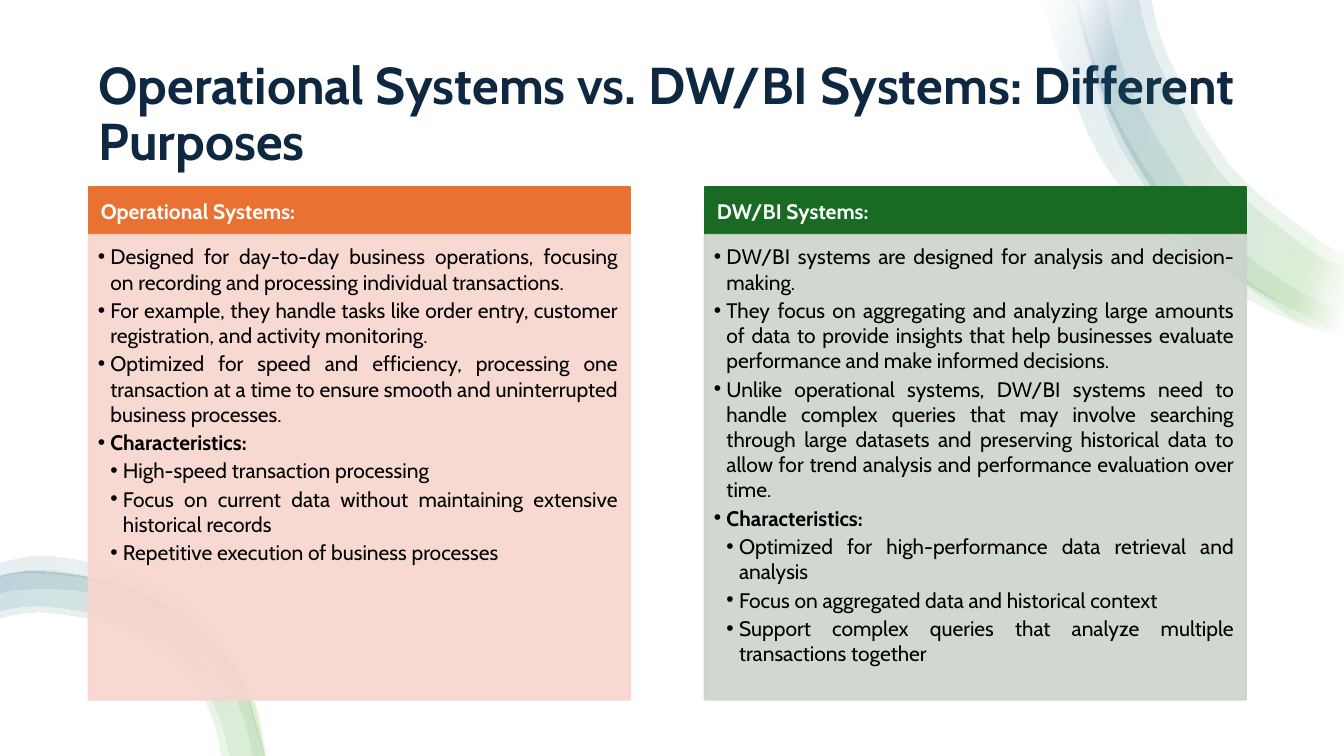
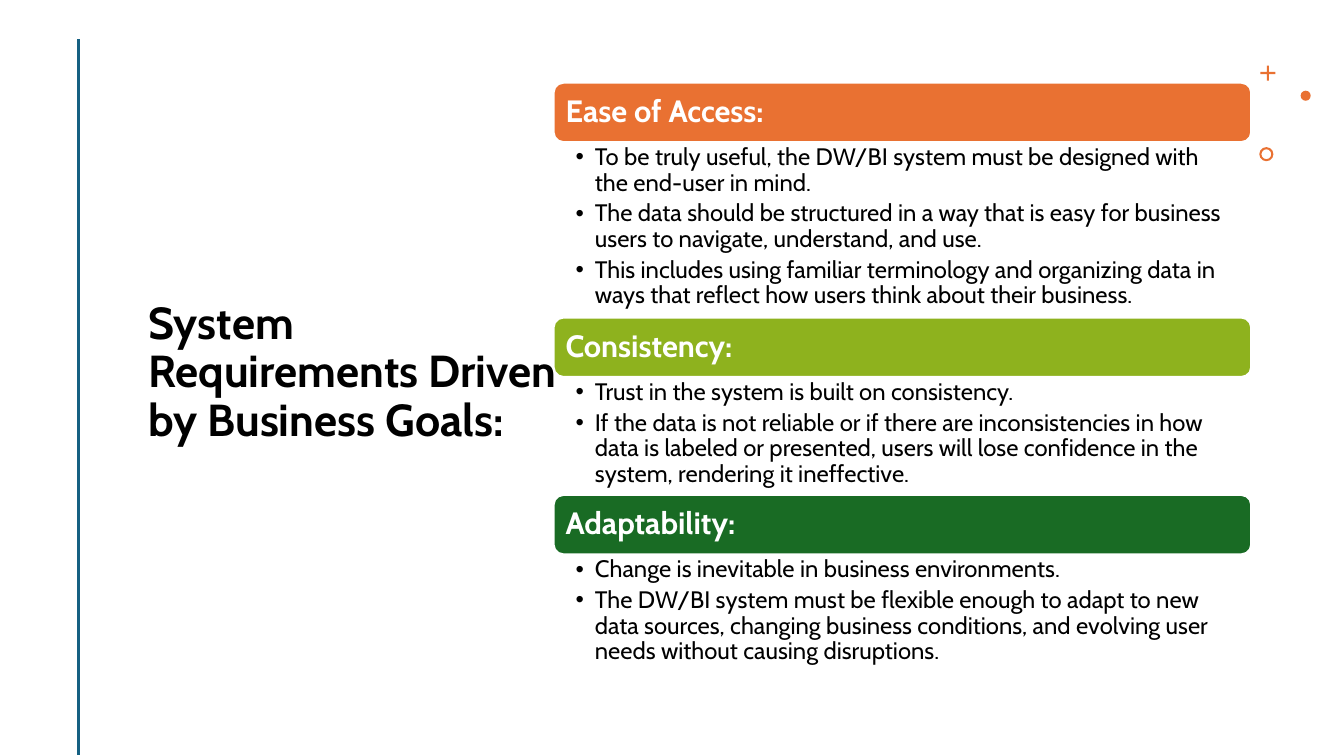
from lxml import etree
from pptx import Presentation
from pptx.dml.color import RGBColor
from pptx.enum.shapes import MSO_CONNECTOR, MSO_SHAPE
from pptx.enum.text import MSO_ANCHOR, MSO_AUTO_SIZE, PP_ALIGN
from pptx.oxml.ns import qn
from pptx.util import Inches, Pt

FONT = "Cabin"
NAVY, BLACK, WHITE = "0E2841", "000000", "FFFFFF"
ORANGE, LIME, GREEN = "E97132", "8EB21E", "196B24"
PINK, SAGE, TEAL, LEAF = "F7D5CE", "CCD4CD", "156082", "4EA72E"

RECTANGLE, ROUNDED = MSO_SHAPE.RECTANGLE, MSO_SHAPE.ROUNDED_RECTANGLE
CROSS, OVAL, DONUT = MSO_SHAPE.CROSS, MSO_SHAPE.OVAL, MSO_SHAPE.DONUT
TOP, MIDDLE = MSO_ANCHOR.TOP, MSO_ANCHOR.MIDDLE
LEFT, JUSTIFY = PP_ALIGN.LEFT, PP_ALIGN.JUSTIFY
TITLE_ONLY = 5
SLIDE_SIZE = (13.33, 7.5)

# Swoosh bands: points along the outer edge, then along the inner edge
TOP_EDGE = [(10.67, 0), (10.99, 1.07), (11.52, 2), (12.23, 2.74), (13.33, 3.32)]
TOP_SWOOSH = [
    ([(10.37, 0), (10.41, 0.26), (10.78, 1.31), (11.16, 1.92), (11.65, 2.45),
      (12.21, 2.87), (12.82, 3.19), (13.33, 3.35)],
     [(10.7, 0), (10.82, 0.52), (11.06, 1.15), (11.4, 1.73), (11.81, 2.27),
      (12.3, 2.73), (12.86, 3.1), (13.33, 3.28)]),
    (TOP_EDGE,
     [(11.42, 0), (11.58, 0.55), (12.19, 1.64), (13.07, 2.38), (13.33, 2.51)]),
    ([(10.65, 0), (10.99, 1.19), (11.32, 1.79), (11.73, 2.33), (12.79, 3.14),
      (13.33, 3.33)],
     [(10.98, 0), (11.07, 0.44), (11.29, 1.04), (11.95, 2.11), (12.39, 2.55),
      (12.9, 2.9), (13.33, 3.08)]),
    (TOP_EDGE,
     [(11.3, 0), (11.47, 0.59), (12.1, 1.72), (13.01, 2.5), (13.33, 2.64)]),
]
BOTTOM_EDGE = [(0, 5.72), (0.4, 5.67), (1.17, 5.8), (1.85, 6.16), (2.36, 6.69),
               (2.63, 7.5)]
BOTTOM_SWOOSH = [
    (BOTTOM_EDGE,
     [(0, 6.13), (0.4, 6.07), (1.07, 6.19), (1.66, 6.52), (2.06, 7), (2.2, 7.5)]),
    (BOTTOM_EDGE,
     [(0, 6.06), (0.4, 6.01), (1.09, 6.13), (1.7, 6.47), (2.12, 6.97),
      (2.28, 7.5)]),
    ([(0, 5.71), (0.5, 5.66), (1.42, 5.87), (2.03, 6.27), (2.47, 6.85),
      (2.63, 7.5)],
     [(0, 5.88), (0.33, 5.84), (1.01, 5.91), (1.92, 6.39), (2.34, 6.91),
      (2.51, 7.5)]),
    ([(0, 5.59), (0.51, 5.52), (1.48, 5.75), (2.1, 6.23), (2.5, 6.87),
      (2.64, 7.5)],
     [(0, 5.72), (0.32, 5.68), (1.05, 5.78), (1.82, 6.17), (2.36, 6.73),
      (2.62, 7.5)]),
]
TOP_STOPS = [(2, WHITE), (16, LEAF), (85, TEAL), (100, WHITE)]
BOTTOM_STOPS = [(0, LEAF), (100, TEAL)]

# Text of the comparison: (level, text) with level 0 for a bold heading
COMPARISON = [
    ("Operational Systems:", ORANGE, PINK, [
        (1, "Designed for day-to-day business operations, focusing on recording "
            "and processing individual transactions."),
        (1, "For example, they handle tasks like order entry, customer "
            "registration, and activity monitoring."),
        (1, "Optimized for speed and efficiency, processing one transaction at a "
            "time to ensure smooth and uninterrupted business processes."),
        (0, "Characteristics:"),
        (2, "High-speed transaction processing"),
        (2, "Focus on current data without maintaining extensive historical "
            "records"),
        (2, "Repetitive execution of business processes"),
    ]),
    ("DW/BI Systems:", GREEN, SAGE, [
        (1, "DW/BI systems are designed for analysis and decision-making."),
        (1, "They focus on aggregating and analyzing large amounts of data to "
            "provide insights that help businesses evaluate performance and make "
            "informed decisions."),
        (1, "Unlike operational systems, DW/BI systems need to handle complex "
            "queries that may involve searching through large datasets and "
            "preserving historical data to allow for trend analysis and "
            "performance evaluation over time."),
        (0, "Characteristics:"),
        (2, "Optimized for high-performance data retrieval and analysis"),
        (2, "Focus on aggregated data and historical context"),
        (2, "Support complex queries that analyze multiple transactions together"),
    ]),
]

# Text of the requirements: heading, colour, body height, bullets
REQUIREMENTS = [
    ("Ease of Access:", ORANGE, 1.74, [
        "To be truly useful, the DW/BI system must be designed with the end-user "
        "in mind.",
        "The data should be structured in a way that is easy for business users "
        "to navigate, understand, and use.",
        "This includes using familiar terminology and organizing data in ways "
        "that reflect how users think about their business.",
    ]),
    ("Consistency:", LIME, 1.17, [
        "Trust in the system is built on consistency.",
        "If the data is not reliable or if there are inconsistencies in how data "
        "is labeled or presented, users will lose confidence in the system, "
        "rendering it ineffective.",
    ]),
    ("Adaptability:", GREEN, 1.17, [
        "Change is inevitable in business environments.",
        "The DW/BI system must be flexible enough to adapt to new data sources, "
        "changing business conditions, and evolving user needs without causing "
        "disruptions.",
    ]),
]


def color(value):
    return RGBColor.from_string(value)


def inches(*lengths):
    return [Inches(length) for length in lengths]


def add_box(slide, kind, box, fill, line=None, alpha=None):
    """Add a flat preset shape; alpha is its opacity in percent."""
    shape = slide.shapes.add_shape(kind, *inches(*box))
    shape.shadow.inherit = False
    shape.fill.solid()
    shape.fill.fore_color.rgb = color(fill)
    if line:
        shape.line.color.rgb = color(line)
        shape.line.width = Pt(1.5)
    else:
        shape.line.fill.background()
    if alpha:
        for element in list(shape.element.spPr.iter(qn("a:srgbClr"))):
            etree.SubElement(element, qn("a:alpha"), val=str(alpha * 1000))
    return shape


def set_frame(frame, margins, anchor):
    frame.word_wrap = True
    frame.auto_size = MSO_AUTO_SIZE.NONE
    frame.vertical_anchor = anchor
    (frame.margin_left, frame.margin_top,
     frame.margin_right, frame.margin_bottom) = inches(*margins)


def set_font(paragraph, size, font_color, bold=False):
    font = paragraph.font
    font.name, font.size, font.bold = FONT, Pt(size), bold
    font.color.rgb = color(font_color)


def write_heading(shape, text, size, margins, spacing=1.0):
    set_frame(shape.text_frame, margins, MIDDLE)
    paragraph = shape.text_frame.paragraphs[0]
    paragraph.text = text
    paragraph.alignment = LEFT
    paragraph.line_spacing = spacing
    set_font(paragraph, size, WHITE, True)


def write_bullets(frame, items, size, hanging, gap, alignment, spacing=1.0):
    """Write (level, text) items as bullets; level 0 is a bold heading."""
    for index, (level, text) in enumerate(items):
        paragraph = frame.add_paragraph() if index else frame.paragraphs[0]
        paragraph.text = text
        paragraph.alignment = alignment
        paragraph.line_spacing = spacing
        paragraph.space_after = Pt(gap)
        properties = paragraph._p.get_or_add_pPr()
        properties.set("marL", str(Inches(hanging * max(level, 1))))
        properties.set("indent", str(-Inches(hanging)))
        etree.SubElement(properties, qn("a:buFont"), typeface="Arial")
        etree.SubElement(properties, qn("a:buChar"), char="•")
        set_font(paragraph, size, BLACK, level == 0)


def add_title_slide(presentation, text, box, size, font_color):
    """Add a title-only slide with its title placed in the box."""
    slide = presentation.slides.add_slide(presentation.slide_layouts[TITLE_ONLY])
    title = slide.shapes.title
    title.left, title.top, title.width, title.height = inches(*box)
    set_frame(title.text_frame, (0.1, 0.05, 0.1, 0.05), MIDDLE)
    paragraph = title.text_frame.paragraphs[0]
    paragraph.text = text
    paragraph.alignment = LEFT
    paragraph.line_spacing = 0.9
    set_font(paragraph, size, font_color, True)
    return slide


def add_backdrop(slide):
    """Put a white panel over the whole slide, behind the title."""
    backdrop = add_box(slide, RECTANGLE, (0, 0, *SLIDE_SIZE), WHITE)
    slide.shapes.title.element.addprevious(backdrop.element)


def smooth_curve(points, steps=3):
    """Sample a Catmull-Rom curve through the points."""
    padded = [points[0], *points, points[-1]]
    curve = [points[0]]
    for a, b, c, d in zip(padded, padded[1:], padded[2:], padded[3:]):
        for step in range(1, steps + 1):
            t = step / steps
            curve.append(tuple(
                q + 0.5 * t * (r - p + t * (2 * p - 5 * q + 4 * r - s
                                            + t * (3 * (q - r) + s - p)))
                for p, q, r, s in zip(a, b, c, d)))
    return curve


def add_swoosh(slide, bands, color_stops):
    """Draw overlapping curved bands with a faint gradient."""
    for outer, inner in bands:
        outline = smooth_curve(outer) + smooth_curve(inner)[::-1]
        points = [tuple(inches(*point)) for point in outline]
        builder = slide.shapes.build_freeform(*points[0], scale=1.0)
        builder.add_line_segments(points[1:], close=True)
        shape = builder.convert_to_shape()
        shape.shadow.inherit = False
        shape.line.fill.background()
        shape.fill.gradient()
        gradient = shape.element.spPr.find(qn("a:gradFill"))
        for child in list(gradient):
            gradient.remove(child)
        stops = etree.SubElement(gradient, qn("a:gsLst"))
        for position, value in color_stops:
            stop = etree.SubElement(stops, qn("a:gs"), pos=str(position * 1000))
            tint = etree.SubElement(stop, qn("a:srgbClr"), val=value)
            etree.SubElement(tint, qn("a:alpha"), val="10000")
        etree.SubElement(gradient, qn("a:lin"), ang=str(200 * 60000), scaled="0")


def add_comparison_column(slide, box, heading, accent, tint, items):
    left, top, width, height = box
    header_height = 0.47
    header = add_box(slide, RECTANGLE, (left, top, width, header_height),
                     accent, accent)
    write_heading(header, heading, 15, (0.12, 0.07, 0.12, 0.07))
    body = add_box(slide, RECTANGLE,
                   (left, top + header_height, width, height - header_height),
                   tint, tint, alpha=90)
    set_frame(body.text_frame, (0.09, 0.09, 0.12, 0.13), TOP)
    write_bullets(body.text_frame, items, 15, 0.125, 2.2, JUSTIFY)


def add_requirement_list(slide, left, top, width):
    """Stack the heading bars, each with its bullets below."""
    bar_height = 0.59
    for heading, accent, body_height, items in REQUIREMENTS:
        bar = add_box(slide, ROUNDED, (left, top, width, bar_height), accent, WHITE)
        write_heading(bar, heading, 22, (0.09, 0.09, 0.09, 0.09), 0.9)
        body = slide.shapes.add_textbox(
            *inches(left, top + bar_height, width, body_height))
        set_frame(body.text_frame, (0.22, 0.03, 0.17, 0.03), TOP)
        write_bullets(body.text_frame, [(1, item) for item in items],
                      17, 0.19, 3.4, LEFT, 0.9)
        top += bar_height + body_height


def add_ornaments(slide, left, top):
    """Plus, dot and ring beside the list."""
    plus = add_box(slide, CROSS, (left + 0.01, top, 0.15, 0.15), ORANGE)
    plus.adjustments[0] = 0.43
    add_box(slide, OVAL, (left + 0.41, top + 0.25, 0.1, 0.1), ORANGE)
    ring = add_box(slide, DONUT, (left, top + 0.81, 0.14, 0.14), ORANGE)
    ring.adjustments[0] = 0.15


def add_side_rule(slide, x, top, bottom):
    rule = slide.shapes.add_connector(MSO_CONNECTOR.STRAIGHT,
                                      *inches(x, top, x, bottom))
    rule.line.color.rgb = color(TEAL)
    rule.line.width = Pt(2)
    etree.SubElement(rule.element.spPr, qn("a:effectLst"))


def build_comparison_slide(presentation):
    slide = add_title_slide(
        presentation, "Operational Systems vs. DW/BI Systems: Different Purposes",
        (0.88, 0.5, 11.57, 1.3), 37, NAVY)
    add_backdrop(slide)
    add_swoosh(slide, TOP_SWOOSH, TOP_STOPS)
    add_swoosh(slide, BOTTOM_SWOOSH, BOTTOM_STOPS)
    for index, column in enumerate(COMPARISON):
        add_comparison_column(slide, (0.88 + index * 6.11, 1.86, 5.37, 5.08),
                              *column)


def build_requirements_slide(presentation):
    slide = add_title_slide(
        presentation, "System Requirements Driven by Business Goals:",
        (1.37, 0.65, 4.31, 6.11), 32, BLACK)
    add_side_rule(slide, 0.78, 0.39, 7.49)
    add_ornaments(slide, 12.49, 0.65)
    add_requirement_list(slide, 5.49, 0.82, 6.92)


def main():
    presentation = Presentation()
    presentation.slide_width, presentation.slide_height = inches(*SLIDE_SIZE)
    build_comparison_slide(presentation)
    build_requirements_slide(presentation)
    presentation.save("out.pptx")


if __name__ == "__main__":
    main()
